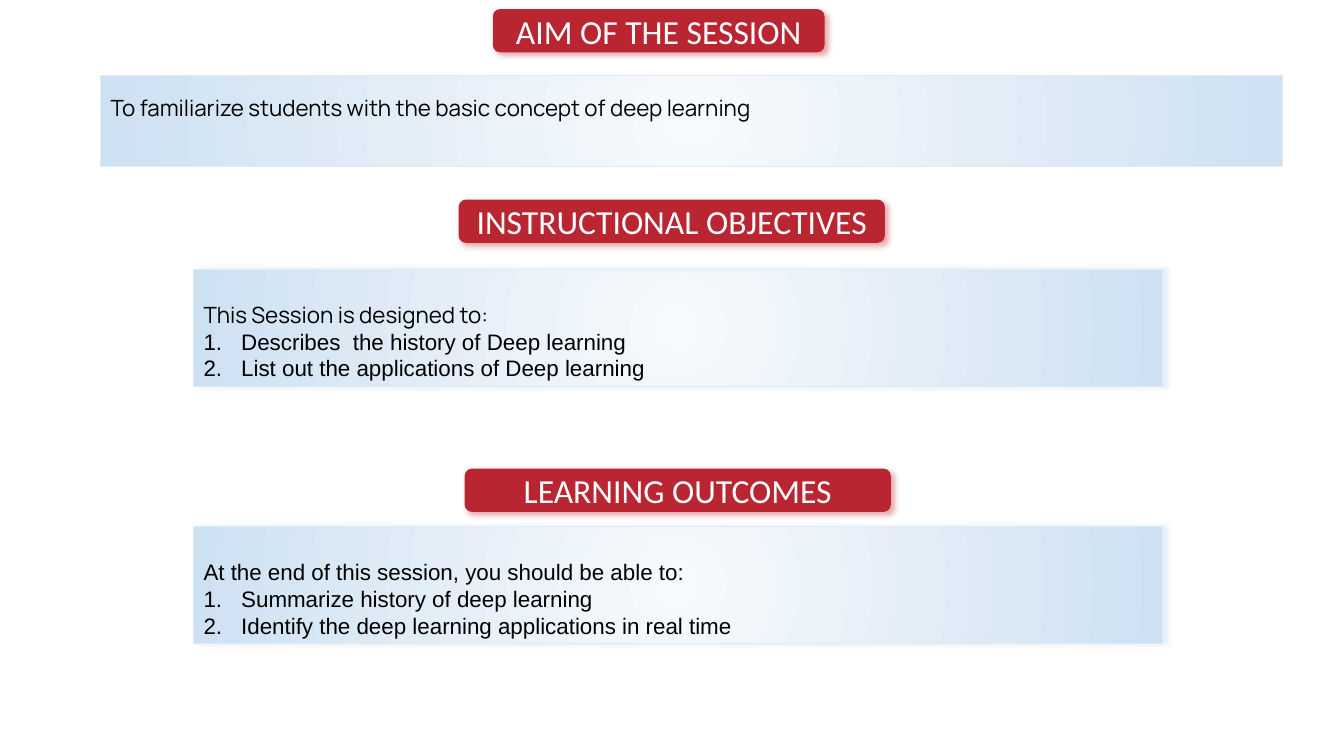
"""Build a session overview slide: aim, objectives and outcomes."""
from dataclasses import dataclass
from typing import Optional

from lxml.etree import SubElement
from pptx import Presentation
from pptx.dml.color import RGBColor as RGB
from pptx.enum.shapes import MSO_SHAPE as Shape
from pptx.enum.text import MSO_ANCHOR as Anchor, MSO_AUTO_SIZE as AutoSize, PP_ALIGN as Align
from pptx.oxml.ns import qn
from pptx.util import Cm, Pt


@dataclass(frozen=True)
class Theme:
    """Colours, fonts and type sizes of the slide."""
    red: str = "BA2532"
    white: str = "FFFFFF"
    black: str = "000000"
    centre: str = "F7FAFD"
    rim: str = "CEE1F2"
    border: str = "DEEBF7"
    glow: str = "BDD7EE"
    heading_font: str = "Calibri"
    aim_font: str = "Manrope"
    list_font: str = "Arial"
    heading_size: int = 24
    body_size: int = 16


THEME = Theme()


@dataclass(frozen=True)
class Box:
    """Position and size in centimetres."""
    left: float
    top: float
    width: float
    height: float


@dataclass(frozen=True)
class Section:
    """A heading pill with the panel below it."""
    title: str
    pill: Box
    panel: Box
    lead: str
    lead_font: str
    spacing: float
    items: tuple[str, ...] = ()
    glow: Optional[str] = None


SECTIONS = (
    Section("AIM OF THE SESSION", Box(12.42, 0.23, 8.36, 1.09), Box(2.54, 1.9, 29.79, 2.29),
            "To familiarize students with the basic concept of deep learning",
            THEME.aim_font, 1.5),
    Section("INSTRUCTIONAL OBJECTIVES", Box(11.56, 5.03, 10.74, 1.09),
            Box(4.88, 6.78, 24.41, 2.95), "This Session is designed to:", THEME.aim_font, 2.0,
            ("Describes  the history of Deep learning",
             "List out the applications of Deep learning"), THEME.glow),
    Section("LEARNING OUTCOMES", Box(11.71, 11.81, 10.74, 1.09), Box(4.88, 13.26, 24.41, 2.95),
            "At the end of this session, you should be able to:", THEME.list_font, 2.0,
            ("Summarize history of deep learning",
             "Identify the deep learning applications in real time"), THEME.glow),
)


def add_box(slide, kind: Shape, box: Box):
    """Add a shape without a shadow."""
    s = slide.shapes.add_shape(kind, Cm(box.left), Cm(box.top), Cm(box.width), Cm(box.height))
    s.shadow.inherit = False
    return s


def add_shadow(s, color: str, degrees: int) -> None:
    """Give a shape a soft outer shadow."""
    effects = s._element.spPr.find(qn("a:effectLst"))
    shadow = SubElement(effects, qn("a:outerShdw"), blurRad=str(Pt(4)), dist=str(Pt(3)),
                        dir=str(degrees * 60000), algn="tl", rotWithShape="0")
    clr = SubElement(shadow, qn("a:srgbClr"), val=color)
    SubElement(clr, qn("a:alpha"), val="40000")


def fill_radial(s, centre: str, rim: str) -> None:
    """Fill a shape with a gradient from its centre outwards."""
    s.fill.gradient()
    for stop, color in zip(s.fill.gradient_stops, (centre, rim)):
        stop.color.rgb = RGB.from_string(color)
    grad = s._element.spPr.find(qn("a:gradFill"))
    grad.remove(grad.find(qn("a:lin")))
    radial = SubElement(grad, qn("a:path"), path="circle")
    SubElement(radial, qn("a:fillToRect"), l="50000", t="50000", r="50000", b="50000")


def number(p) -> None:
    """Turn a paragraph into a numbered item."""
    props = p._p.get_or_add_pPr()
    for name, value in {"marL": Cm(0.95), "indent": Cm(-0.95)}.items():
        props.set(name, str(value))
    SubElement(SubElement(props, qn("a:buClr")), qn("a:srgbClr"), val=THEME.black)
    SubElement(props, qn("a:buAutoNum"), type="arabicPeriod")


def write(p, text: str, font: str, size: int, color: str, align: Align) -> None:
    """Write one formatted run into a paragraph."""
    p.alignment = align
    r = p.add_run()
    r.text = text
    for name, value in {"name": font, "size": Pt(size)}.items():
        setattr(r.font, name, value)
    r.font.color.rgb = RGB.from_string(color)


def add_pill(slide, section: Section) -> None:
    """Draw the red heading of a section."""
    s = add_box(slide, Shape.ROUNDED_RECTANGLE, section.pill)
    s.fill.solid()
    s.fill.fore_color.rgb = RGB.from_string(THEME.red)
    s.line.fill.background()
    add_shadow(s, THEME.red, 45)
    tf = s.text_frame
    for name, value in {"word_wrap": True, "vertical_anchor": Anchor.MIDDLE}.items():
        setattr(tf, name, value)
    write(tf.paragraphs[0], section.title, THEME.heading_font, THEME.heading_size,
          THEME.white, Align.CENTER)


def add_panel(slide, section: Section) -> None:
    """Draw the blue panel of a section with its text."""
    s = add_box(slide, Shape.RECTANGLE, section.panel)
    fill_radial(s, THEME.centre, THEME.rim)
    s.line.color.rgb = RGB.from_string(THEME.border)
    s.line.width = Pt(0.75)
    if section.glow:
        add_shadow(s, section.glow, 0)
    tf = s.text_frame
    for name, value in {"word_wrap": True, "vertical_anchor": Anchor.TOP,
                        "auto_size": AutoSize.SHAPE_TO_FIT_TEXT}.items():
        setattr(tf, name, value)
    p = tf.paragraphs[0]
    p.line_spacing = section.spacing
    write(p, section.lead, section.lead_font, THEME.body_size, THEME.black, Align.LEFT)
    for item in section.items:
        p = tf.add_paragraph()
        number(p)
        write(p, item, THEME.list_font, THEME.body_size, THEME.black, Align.LEFT)


def main() -> None:
    """Build and save the slide."""
    prs = Presentation()
    prs.slide_width, prs.slide_height = Cm(33.87), Cm(19.05)
    slide = prs.slides.add_slide(prs.slide_layouts[6])
    for section in SECTIONS:
        add_pill(slide, section)
        add_panel(slide, section)
    prs.save("out.pptx")


if __name__ == "__main__":
    main()
